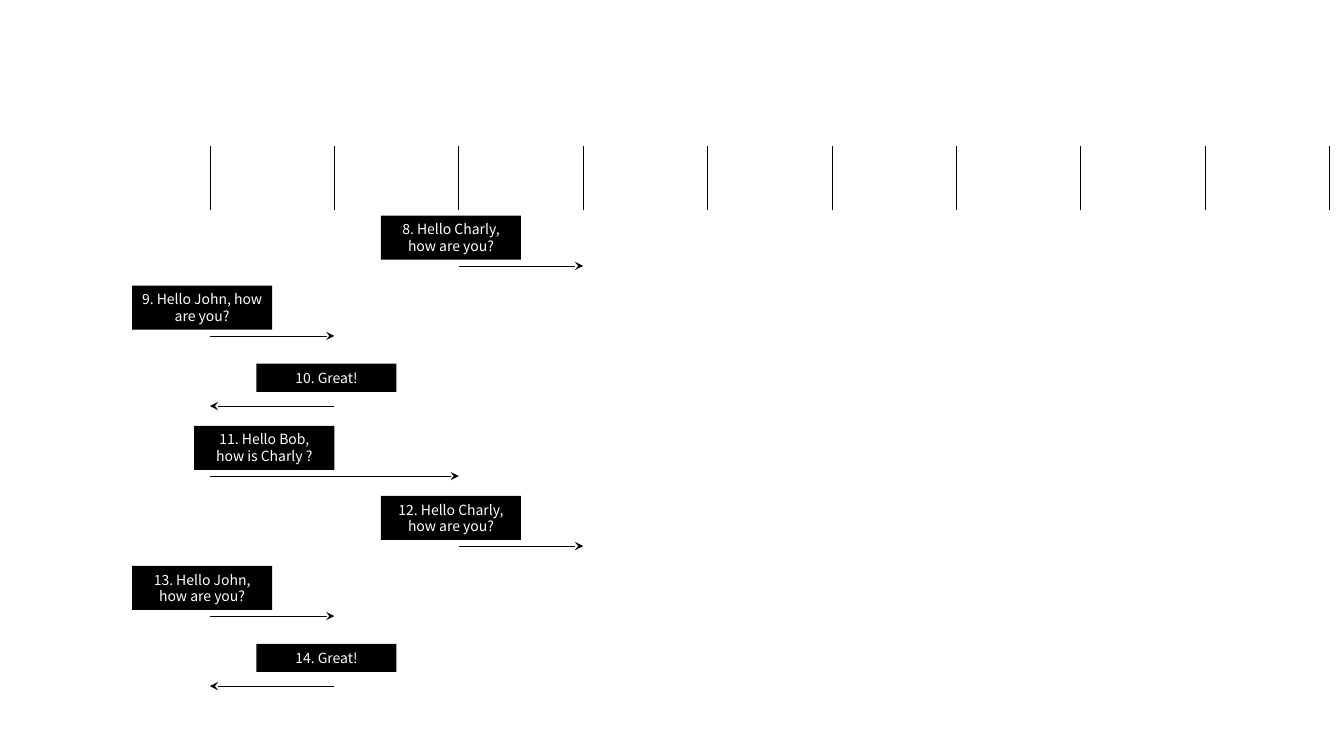
from lxml import etree
from pptx import Presentation
from pptx.dml.color import RGBColor
from pptx.enum.shapes import MSO_CONNECTOR, MSO_SHAPE
from pptx.enum.text import MSO_ANCHOR, MSO_AUTO_SIZE, PP_ALIGN
from pptx.oxml.ns import qn
from pptx.util import Cm, Pt

STRAIGHT = MSO_CONNECTOR.STRAIGHT
RECTANGLE = MSO_SHAPE.RECTANGLE
MIDDLE = MSO_ANCHOR.MIDDLE
GROW = MSO_AUTO_SIZE.SHAPE_TO_FIT_TEXT
CENTER = PP_ALIGN.CENTER

MESSAGES = [
    ("8. Hello Charly, how are you?", 2, 3, 2),
    ("9. Hello John, how are you?", 0, 1, 2),
    ("10. Great!", 1, 0, 1),
    ("11. Hello Bob, how is Charly ?", 0, 2, 2),
    ("12. Hello Charly, how are you?", 2, 3, 2),
    ("13. Hello John, how are you?", 0, 1, 2),
    ("14. Great!", 1, 0, 1),
]
FONT = "Noto Sans CJK KR"
INK, PAPER = "000000", "FFFFFF"

LIFELINE_COUNT = 10
FIRST_LIFELINE, LAST_LIFELINE = 5.29, 33.51
LIFELINE_STEP = (LAST_LIFELINE - FIRST_LIFELINE) / (LIFELINE_COUNT - 1)
LIFELINE_TOP, LIFELINE_BOTTOM = 3.67, 5.29
FIRST_ARROW, LAST_ARROW = 6.7, 17.29
ARROW_STEP = (LAST_ARROW - FIRST_ARROW) / (len(MESSAGES) - 1)
LABEL_WIDTH = 3.53
LABEL_HEIGHTS = {1: 0.71, 2: 1.11}
LABEL_RISE = 0.71


def paint(color_format, color):
    color_format.rgb = RGBColor.from_string(color)


def lifeline_x(index):
    return FIRST_LIFELINE + index * LIFELINE_STEP


def add_line(slide, x1, y1, x2, y2, arrow=False):
    connector = slide.shapes.add_connector(STRAIGHT, Cm(x1), Cm(y1), Cm(x2), Cm(y2))
    connector.line.width = Pt(0.5)
    connector.line.fill.solid()
    paint(connector.line.fill.fore_color, INK)
    if arrow:
        etree.SubElement(connector.line._get_or_add_ln(), qn("a:tailEnd"), type="stealth")
    etree.SubElement(connector._element.spPr, qn("a:effectLst"))


def add_label(slide, text, right, middle, line_count):
    height = LABEL_HEIGHTS[line_count]
    shape = slide.shapes.add_shape(
        RECTANGLE, Cm(right - LABEL_WIDTH), Cm(middle - height / 2), Cm(LABEL_WIDTH), Cm(height)
    )
    shape.shadow.inherit = False
    shape.fill.solid()
    paint(shape.fill.fore_color, INK)
    shape.line.fill.background()
    frame = shape.text_frame
    frame.text = text
    frame.word_wrap = True
    frame.auto_size = GROW
    frame.vertical_anchor = MIDDLE
    paragraph = frame.paragraphs[0]
    paragraph.alignment = CENTER
    font = paragraph.runs[0].font
    font.name = FONT
    font.size = Pt(10)
    paint(font.color, PAPER)


def main():
    presentation = Presentation()
    presentation.slide_width = Cm(33.87)
    presentation.slide_height = Cm(19.05)
    slide = presentation.slides.add_slide(presentation.slide_layouts[6])

    for index in range(LIFELINE_COUNT):
        x = lifeline_x(index)
        add_line(slide, x, LIFELINE_BOTTOM, x, LIFELINE_TOP)

    for row, (text, sender, receiver, line_count) in enumerate(MESSAGES):
        start, end = lifeline_x(sender), lifeline_x(receiver)
        arrow_y = FIRST_ARROW + row * ARROW_STEP
        add_label(slide, text, start + abs(end - start) / 2, arrow_y - LABEL_RISE, line_count)
        add_line(slide, start, arrow_y, end, arrow_y, arrow=True)

    presentation.save("out.pptx")


if __name__ == "__main__":
    main()
